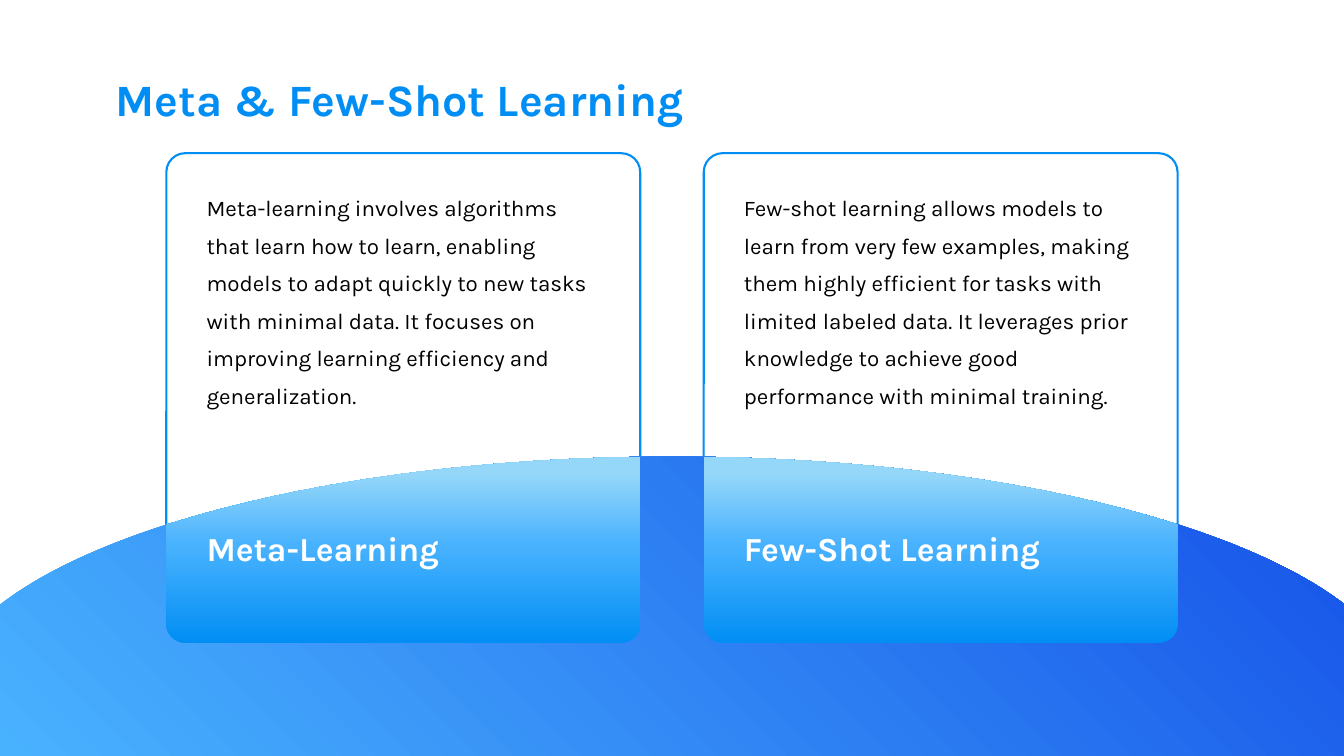
import pptx
import pptx.dml.color
import pptx.enum.shapes
import pptx.enum.text
import pptx.oxml
import pptx.oxml.ns
import pptx.util
from lxml import etree

Inches = pptx.util.Inches
MSO_SHAPE = pptx.enum.shapes.MSO_SHAPE
qn = pptx.oxml.ns.qn

BLUE, SKY, PALE, ROYAL = "018EF4", "49B2FE", "95D7F9", "1552E8"
MIDDLE = 6.67
HILL_LEFT = [(0, 6), (1.11, 5.14), (3.68, 4.53), (MIDDLE, 4.53)]
HILL_RIGHT = [(2 * MIDDLE - x, y) for x, y in reversed(HILL_LEFT)]
CARD_TOP, CARD_W, CARD_H, CORNER = 1.52, 4.7, 4.86, 0.19
CARDS = [
    (1.65, HILL_LEFT, "Meta-Learning",
     "Meta-learning involves algorithms that learn how to learn, enabling models to adapt "
     "quickly to new tasks with minimal data. It focuses on improving learning efficiency "
     "and generalization."),
    (6.98, HILL_RIGHT, "Few-Shot Learning",
     "Few-shot learning allows models to learn from very few examples, making them highly "
     "efficient for tasks with limited labeled data. It leverages prior knowledge to "
     "achieve good performance with minimal training."),
]


def rgb(color):
    """Return the colour for a hex string."""
    return pptx.dml.color.RGBColor.from_string(color)


def fill_gradient(sp, stops, angle):
    """Fill a shape with (percent, colour) stops along a clockwise angle."""
    sp.shadow.inherit = False
    sp.fill.gradient()
    grad = sp._element.spPr.find(qn("a:gradFill"))
    grad.clear()
    gs_list = etree.SubElement(grad, qn("a:gsLst"))
    for percent, color in stops:
        gs = etree.SubElement(gs_list, qn("a:gs"), pos=str(percent * 1000))
        etree.SubElement(gs, qn("a:srgbClr"), val=color)
    etree.SubElement(grad, qn("a:lin"), ang=str(angle * 60000), scaled="0")
    sp.line.fill.background()


def add_text(s, text, left, top, width, height, size=16, color="000000", bold=False, spacing=None):
    """Add a wrapped text box with one formatted paragraph."""
    box = s.shapes.add_textbox(Inches(left), Inches(top), Inches(width), Inches(height))
    tf = box.text_frame
    tf.word_wrap = True
    tf.auto_size = pptx.enum.text.MSO_AUTO_SIZE.SHAPE_TO_FIT_TEXT
    p = tf.paragraphs[0]
    p.line_spacing = spacing
    r = p.add_run()
    r.text = text
    r.font.name = "Karla"
    r.font.size = pptx.util.Pt(size)
    r.font.bold = bold
    r.font.color.rgb = rgb(color)


def add_outline(s, segments, stops, angle):
    """Add a closed gradient outline of lines (1 point) and cubic curves (3 points)."""
    pts = [(Inches(x), Inches(y)) for segment in segments for x, y in segment]
    builder = s.shapes.build_freeform(*pts[0])
    builder.add_line_segments(pts[1:], close=True)
    sp = builder.convert_to_shape()
    lines = iter(list(sp._element.iter(qn("a:lnTo"))))
    for segment in segments[1:]:
        steps = [next(lines) for _ in segment]
        if len(steps) == 3:
            curve = etree.Element(qn("a:cubicBezTo"))
            steps[0].addprevious(curve)
            for step in steps:
                curve.append(step[0])
                step.getparent().remove(step)
    fill_gradient(sp, stops, angle)


def blossom(nodes, *ts):
    """Interpolate a cubic's nodes once per parameter, down to one point."""
    for t in ts:
        nodes = [tuple(u + (v - u) * t for u, v in zip(a, b)) for a, b in zip(nodes, nodes[1:])]
    return nodes[0]


def parameter_at(nodes, x):
    """Find the curve parameter at x by bisection."""
    low, high = 0, 1
    for _ in range(40):
        mid = (low + high) / 2
        low, high = (mid, high) if blossom(nodes, mid, mid, mid)[0] < x else (low, mid)
    return low


def curve_between(nodes, left, right):
    """Return the nodes of the part of a curve between two x values."""
    a, b = parameter_at(nodes, left), parameter_at(nodes, right)
    return [blossom(nodes, *ts) for ts in ((a, a, a), (a, a, b), (a, b, b), (b, b, b))]


def add_hill(s):
    """Add the hill across the bottom of the slide."""
    segments = [HILL_LEFT[:1], HILL_LEFT[1:], HILL_RIGHT[1:], [(2 * MIDDLE, 7.5)], [(0, 7.5)]]
    add_outline(s, segments, [(0, SKY), (100, ROYAL)], 315)


def add_card(s, left):
    """Add an outlined white card."""
    sp = s.shapes.add_shape(MSO_SHAPE.ROUNDED_RECTANGLE, Inches(left), Inches(CARD_TOP),
                            Inches(CARD_W), Inches(CARD_H))
    sp.adjustments[0] = 0.04
    sp.shadow.inherit = False
    sp.fill.solid()
    sp.fill.fore_color.rgb = rgb("FFFFFF")
    sp.line.color.rgb = rgb(BLUE)
    sp.line.width = pptx.util.Pt(1.5)


def add_card_band(s, left, hill):
    """Add the part of a card that lies below the hill's crest."""
    right, bottom = left + CARD_W, CARD_TOP + CARD_H
    crest = curve_between(hill, left, right)
    pull = 0.45 * CORNER
    segments = [
        crest[:1], crest[1:],
        [(right, bottom - CORNER)],
        [(right, bottom - pull), (right - pull, bottom), (right - CORNER, bottom)],
        [(left + CORNER, bottom)],
        [(left + pull, bottom), (left, bottom - pull), (left, bottom - CORNER)],
    ]
    add_outline(s, segments, [(0, BLUE), (53, SKY), (91, PALE), (100, PALE)], 270)


def main():
    """Build the slide and save it."""
    prs = pptx.Presentation()
    prs.slide_width, prs.slide_height = Inches(13.33), Inches(7.5)
    s = prs.slides.add_slide(prs.slide_layouts[6])
    add_text(s, "Meta & Few-Shot Learning", 1.05, 0.66, 10.72, 0.55, size=32, color=BLUE, bold=True)
    strip = s.shapes.add_shape(MSO_SHAPE.RECTANGLE, 0, Inches(6.88), prs.slide_width, Inches(0.62))
    fill_gradient(strip, [(0, BLUE), (91, SKY), (100, SKY)], 225)
    for left, *_ in CARDS:
        add_card(s, left)
    add_hill(s)
    for left, hill, heading, body in CARDS:
        add_card_band(s, left, hill)
        add_text(s, heading, left + 0.3, 5.19, 4.11, 0.4, size=24, color="FFFFFF", bold=True)
        add_text(s, body, left + 0.3, 1.77, 4.11, 2.24, spacing=1.4)
    prs.save("out.pptx")


if __name__ == "__main__":
    main()
